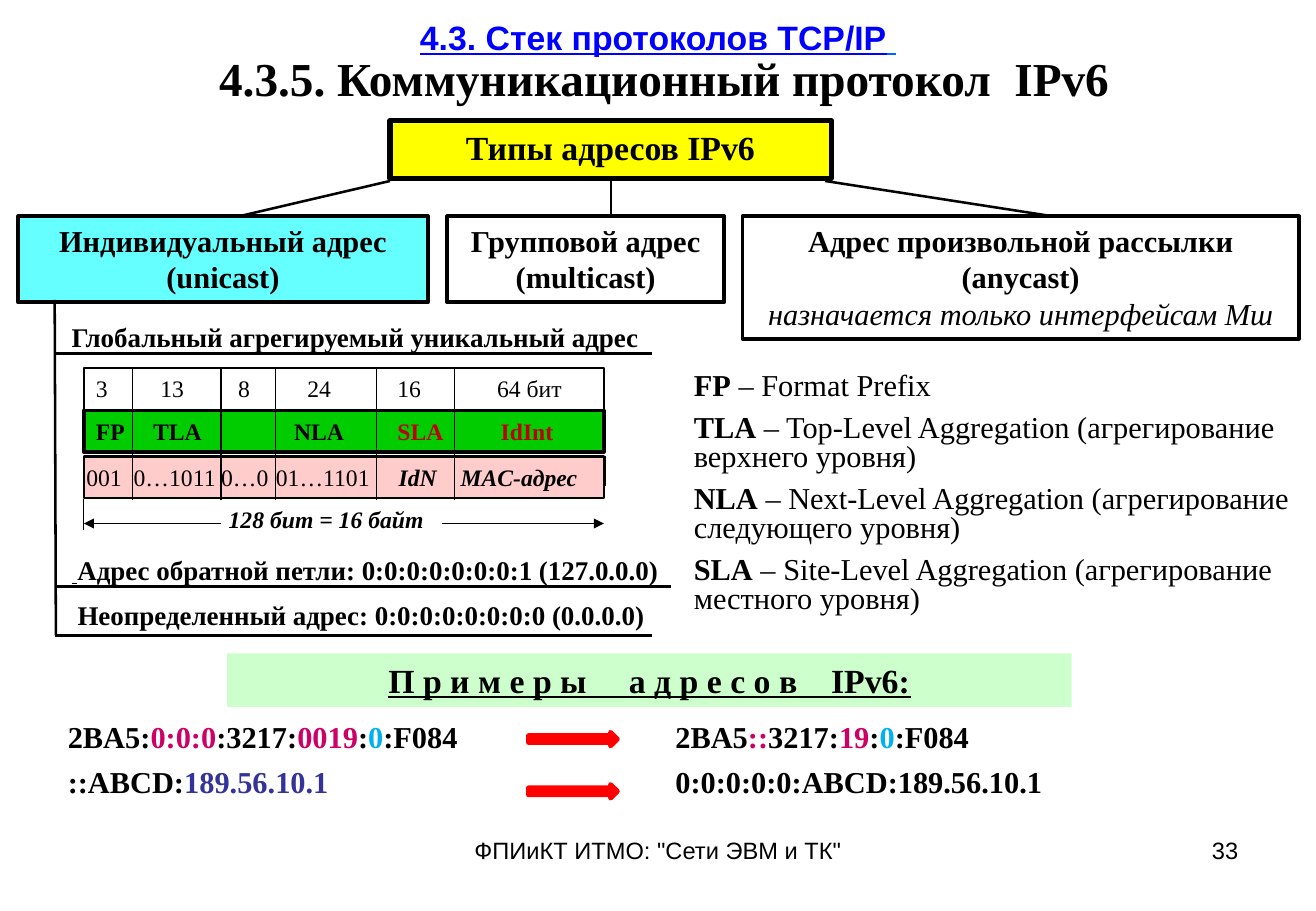
from lxml import etree
from pptx import Presentation
from pptx import util as u
from pptx.dml.color import RGBColor
from pptx.enum import shapes, text
from pptx.oxml.ns import qn

PX = 9144  # 100 px to the inch
C = {"black": "000000", "blue": "0000FF", "sky": "0066FF", "yellow": "FFFF00",
     "aqua": "66FFFF", "green": "00CC00", "pink": "FFCCCC", "mint": "CCFFCC",
     "dark_red": "C00000", "red": "FF0000", "magenta": "CC0066",
     "cyan": "00B0F0", "indigo": "333399"}
LEFT, CENTER, RIGHT = text.PP_ALIGN.LEFT, text.PP_ALIGN.CENTER, text.PP_ALIGN.RIGHT
RECT, ARROW = shapes.MSO_SHAPE.RECTANGLE, shapes.MSO_SHAPE.RIGHT_ARROW


def put(sp, paras, size, align=LEFT, before=0, spacing=None, font="Times New Roman"):
    """Fill a shape; a run is (text, flags, colour, size, font)."""
    tf = sp.text_frame
    tf.word_wrap = True
    tf.auto_size = text.MSO_AUTO_SIZE.NONE
    for i, runs in enumerate(paras):
        p = tf.paragraphs[0] if i == 0 else tf.add_paragraph()
        pPr = p._p.get_or_add_pPr()
        pPr.set("marL", "0")
        pPr.set("indent", "0")
        etree.SubElement(pPr, qn("a:buNone"))
        p.alignment = align
        p.space_before = u.Pt(before if i else 0)
        if spacing:
            p.line_spacing = spacing
        for words, flags, *rest in runs:
            color, run_size, run_font = rest + ["black", size, font][len(rest):]
            r = p.add_run()
            r.text = words
            r.font.name, r.font.size = run_font, u.Pt(run_size)
            r.font.bold, r.font.italic, r.font.underline = (f in flags for f in "biu")
            r.font.color.rgb = RGBColor.from_string(C[color])


def shape(kind, at, fill=None, line=None, width=0):
    sp = s.shapes.add_shape(kind, *(v * PX for v in at))
    sp.shadow.inherit = False
    sp.text_frame.vertical_anchor = text.MSO_ANCHOR.TOP
    for part, color in ((sp.fill, fill), (sp.line.fill, line)):
        if color:
            part.solid()
            part.fore_color.rgb = RGBColor.from_string(C[color])
        else:
            part.background()
    if line:
        sp.line.width = u.Pt(width)
    return sp


prs = Presentation()
prs.slide_width, prs.slide_height = 1083 * PX, 750 * PX
s = prs.slides.add_slide(prs.slide_layouts[1])

# Title and definitions placeholders
title, body = s.placeholders
for sp, at in ((title, (54, 1, 975, 104)), (body, (561, 302, 512, 216))):
    sp.left, sp.top, sp.width, sp.height = (v * PX for v in at)
title.text_frame.vertical_anchor = text.MSO_ANCHOR.MIDDLE
put(title, [[("4.3. Стек протоколов TCP/IP", "bu", "blue", 20, "Arial"),
             (" ", "bu", "sky", 20, "Arial")],
            [(" 4.3.5. Коммуникационный протокол  IPv6", "b")]], 28, CENTER, spacing=0.85)
terms = [("FP", "Format Prefix"),
         ("TLA", "Top-Level Aggregation (агрегирование верхнего уровня)"),
         ("NLA", "Next-Level Aggregation (агрегирование следующего уровня)"),
         ("SLA", "Site-Level Aggregation (агрегирование местного уровня)")]
put(body, [[(term, "b"), (" – " + meaning, "")] for term, meaning in terms],
    18, before=7.5, spacing=0.8)

# Address type tree
types = [((321, 99, 363, 48), "yellow", 3, 20, [[("Типы адресов IPv6", "b")]]),
         ((15, 178, 337, 71), "aqua", 2.25, 18, [[("Индивидуальный адрес (unicast)", "b")]]),
         ((368, 178, 228, 71), None, 2.25, 18, [[("Групповой адрес (multicast)", "b")]]),
         ((611, 178, 458, 101), None, 2.25, 18,
          [[("Адрес произвольной рассылки (anycast)", "b")],
           [("назначается только интерфейсам Мш", "i")]])]
for at, fill, width, size, paras in types:
    put(shape(RECT, at, fill, "black", width), paras, size, CENTER)

# Address format rows: each field is (x, run) and reaches to the next one
edges = [69, 109, 182, 227, 310, 374, 497]
rows = [(303, 35, None, 1.5,
         [(79, ("3", "")), (132, ("13", "")), (196, ("8", "")), (253, ("24", "")),
          (327, ("16", "")), (409, ("64 бит", ""))]),
        (338, 34, "green", 2.25,
         [(79, ("FP", "b")), (126, ("TLA", "b")), (242, ("NLA", "b")),
          (327, ("SLA", "b", "dark_red")), (412, ("IdInt", "b", "dark_red"))]),
        (376, 34, "pink", 1.5,
         [(71, ("001", "")), (110, ("0…1011", "")), (182, ("0…0", "")),
          (227, ("01…1101", "")), (328, ("IdN", "bi")), (379, ("MAC-адрес", "bi"))])]
for top, height, fill, width, fields in rows:
    shape(RECT, (edges[0], top, edges[-1] - edges[0], height), fill, "black", width)
    ends = [x for x, run in fields[1:]] + [edges[-1]]
    for (x, run), end in zip(fields, ends):
        sp = s.shapes.add_textbox(x * PX, top * PX, (end - x) * PX, height * PX)
        sp.text_frame.margin_left = sp.text_frame.margin_right = 0
        put(sp, [[run]], 14)

# Examples heading and arrows
put(shape(RECT, (187, 538, 695, 44), "mint"),
    [[("П р и м е р ы     а д р е с о в    IPv6:", "bu")]], 20, CENTER)
for top in (603, 646):
    shape(ARROW, (435, top, 73, 11), "red", "red", 3)

# Text boxes: place, paragraphs, format
example = {"size": 18, "before": 9.5, "spacing": 0.8}
labels = [
    ((49, 259, 492, 37), [[("Глобальный агрегируемый уникальный адрес", "b")]], {"size": 16}),
    ((49, 451, 522, 37), [[(" ", "bu", "black", 14),
                           ("Адрес обратной петли: 0:0:0:0:0:0:0:1 (127.0.0.0)", "b")]],
     {"size": 16}),
    ((54, 488, 502, 37), [[("Неопределенный адрес: 0:0:0:0:0:0:0:0 (0.0.0.0)", "b")]],
     {"size": 16}),
    ((128, 411, 281, 33), [[("128 бит = 16 байт", "bi")]], {"size": 14, "align": CENTER}),
    ((46, 592, 380, 74),
     [[("2ВA5:", "b"), ("0:0:0", "b", "magenta"), (":3217:", "b"), ("0019", "b", "magenta"),
       (":", "b"), ("0", "b", "cyan"), (":F084", "b")],
      [("::ABCD:", "b"), ("189.56.10.1", "b", "indigo")]], example),
    ((546, 592, 478, 74),
     [[("2BA5", "b"), ("::", "b", "magenta"), ("3217:", "b"), ("19", "b", "magenta"),
       (":", "b"), ("0", "b", "cyan"), (":F084", "b")],
      [("0:0:0:0:0:ABCD:189.56.10.1", "b")]], example),
    ((370, 683, 343, 52), [[('ФПИиКТ ИТМО: "Сети ЭВМ и ТК"', "")]],
     {"size": 14, "align": CENTER, "font": "Arial"}),
    ((776, 683, 253, 52), [[("33", "")]], {"size": 14, "align": RIGHT, "font": "Arial"}),
]
for at, paras, style in labels:
    put(s.shapes.add_textbox(*(v * PX for v in at)), paras, **style)

# Lines: tree branches, unicast bracket, field separators, dimension arrows
branches = [(321, 149, 197, 178), (679, 149, 866, 178), (503, 149, 503, 178)]
bracket = [(45, 247, 46, 523), (45, 291, 537, 291), (45, 483, 552, 483), (45, 523, 537, 523)]
separators = [(x, 303, x, 412) for x in edges[1:-1]]
ticks = [(69, 411, 69, 436), (498, 375, 498, 400)]
dimension = [(364, 431, 497, 431), (182, 431, 69, 431)]
for group, width, head in ((branches + bracket, 1.5, False),
                           (separators + ticks, 0.75, False), (dimension, 0.75, True)):
    for points in group:
        ln = s.shapes.add_connector(shapes.MSO_CONNECTOR.STRAIGHT, *(v * PX for v in points))
        ln.line.width = u.Pt(width)
        ln.line.color.rgb = RGBColor.from_string(C["black"])
        if head:
            etree.SubElement(ln.line._get_or_add_ln(), qn("a:tailEnd"), type="triangle")
        etree.SubElement(ln._element.spPr, qn("a:effectLst"))

prs.save("out.pptx")
